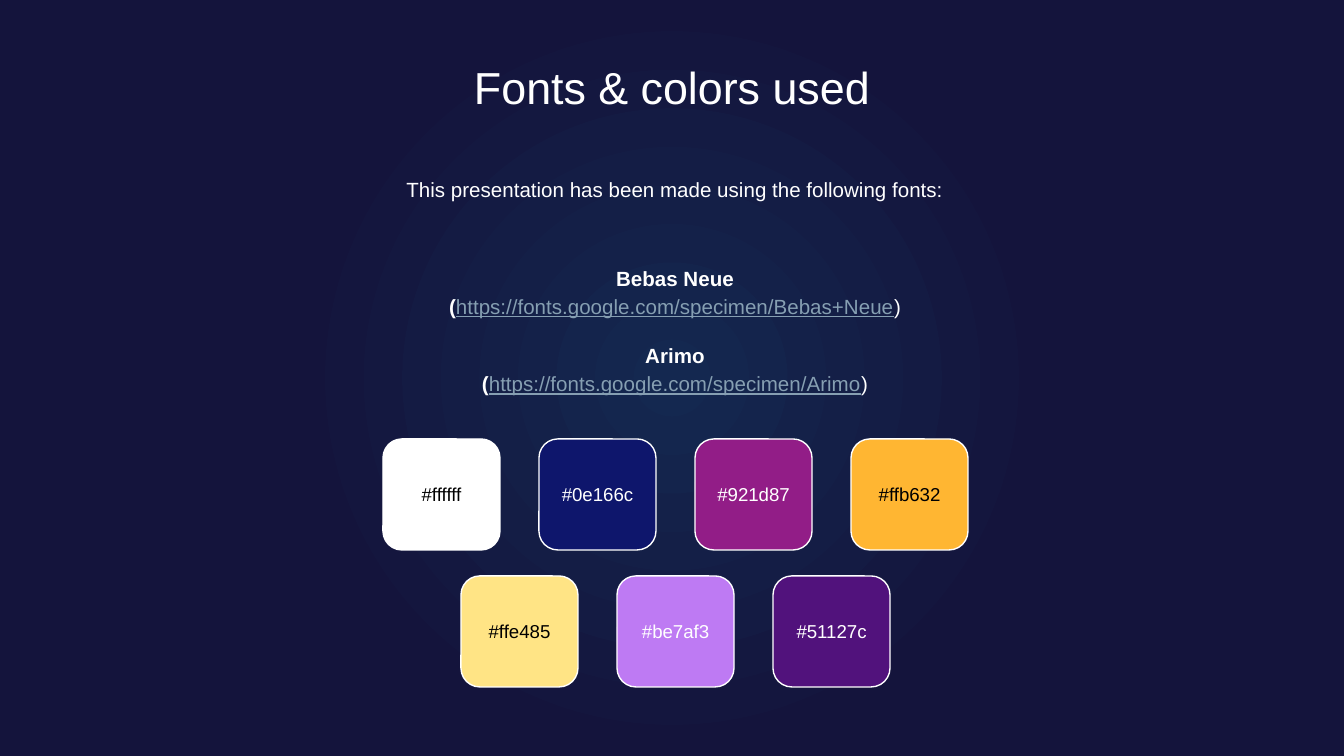
from pptx import Presentation
from pptx.dml.color import RGBColor
from pptx.enum.shapes import MSO_SHAPE
from pptx.enum.text import MSO_ANCHOR, MSO_AUTO_SIZE, PP_ALIGN
from pptx.oxml import parse_xml
from pptx.oxml.ns import nsdecls, qn
from pptx.util import Emu, Pt

TOP, MIDDLE = MSO_ANCHOR.TOP, MSO_ANCHOR.MIDDLE
CENTER = PP_ALIGN.CENTER
NO_AUTOFIT = MSO_AUTO_SIZE.NONE
ROUNDED = MSO_SHAPE.ROUNDED_RECTANGLE
TITLE_ONLY = 5

WHITE = RGBColor(0xFF, 0xFF, 0xFF)
BLACK = RGBColor(0x00, 0x00, 0x00)
LINK = RGBColor(0x86, 0x9F, 0xB2)
GLOW = RGBColor(0x14, 0x28, 0x50)
NIGHT = RGBColor(0x14, 0x14, 0x3C)

FONT = "Arial"
EMU_PER_PX = 914400 / 134.4
INSET = 13
LINE_SPACING = 1.15

FONTS_USED = [
    ("Bebas Neue", "https://fonts.google.com/specimen/Bebas+Neue"),
    ("Arimo", "https://fonts.google.com/specimen/Arimo"),
]

# Each swatch row: top, then (colour code, label colour)
SWATCH_ROWS = [
    (439, [("#ffffff", BLACK), ("#0e166c", WHITE), ("#921d87", WHITE), ("#ffb632", BLACK)]),
    (576, [("#ffe485", BLACK), ("#be7af3", WHITE), ("#51127c", WHITE)]),
]
SWATCH_WIDTH, SWATCH_HEIGHT, SWATCH_PITCH = 117, 111, 156
LABEL_HEIGHT = 65
SWATCH_CENTER = 675


def px(value):
    return Emu(round(value * EMU_PER_PX))


class SlideBuilder:
    def __init__(self, presentation):
        self.slide = presentation.slides.add_slide(presentation.slide_layouts[TITLE_ONLY])

    def background(self, center, edge):
        """Radial glow that reaches the edge colour halfway out."""
        self.slide.background.fill.gradient()
        stops = "".join(
            f'<a:gs pos="{position}"><a:srgbClr val="{color}"/></a:gs>'
            for position, color in [(0, center), (50000, edge), (100000, edge)]
        )
        gradient = parse_xml(
            f'<a:gradFill {nsdecls("a")}><a:gsLst>{stops}</a:gsLst><a:path path="circle">'
            '<a:fillToRect l="50000" t="50000" r="50000" b="50000"/></a:path></a:gradFill>'
        )
        default = self.slide.element.find(".//" + qn("a:gradFill"))
        default.getparent().replace(default, gradient)

    def frame(self, shape, anchor):
        frame = shape.text_frame
        frame.word_wrap = True
        frame.auto_size = NO_AUTOFIT
        frame.vertical_anchor = anchor
        frame.margin_left = frame.margin_right = px(INSET)
        frame.margin_top = frame.margin_bottom = px(INSET)
        return frame

    def style(self, paragraph, size, color=WHITE, bold=False):
        paragraph.alignment = CENTER
        font = paragraph.font
        font.name, font.size, font.bold = FONT, Pt(size), bold
        font.color.rgb = color

    def title(self, text, left, top, width, height):
        shape = self.slide.shapes.title
        shape.left, shape.top, shape.width, shape.height = map(px, (left, top, width, height))
        frame = self.frame(shape, TOP)
        frame.text = text
        self.style(frame.paragraphs[0], 24)

    def text_box(self, left, top, width, height, anchor=TOP):
        shape = self.slide.shapes.add_textbox(*map(px, (left, top, width, height)))
        return self.frame(shape, anchor)

    def text(self, text, left, top, width, height, size, color=WHITE, anchor=TOP, spacing=None):
        paragraph = self.text_box(left, top, width, height, anchor).paragraphs[0]
        paragraph.text = text
        paragraph.line_spacing = spacing
        self.style(paragraph, size, color)

    def font_list(self, fonts, left, top, width, height):
        frame = self.text_box(left, top, width, height, MIDDLE)
        for index, (name, address) in enumerate(fonts):
            heading = frame.add_paragraph() if index else frame.paragraphs[0]
            heading.text = name
            heading.line_spacing = LINE_SPACING
            if index:
                heading.space_before = Pt(11)
            self.style(heading, 11, bold=True)

            source = frame.add_paragraph()
            source.line_spacing = LINE_SPACING
            self.style(source, 11)
            opening, link, closing = (source.add_run() for _ in range(3))
            opening.text, link.text, closing.text = "(", address, ")"
            opening.font.bold = True
            link.font.underline = True
            link.font.color.rgb = LINK

    def swatch(self, code, label_color, left, top):
        shape = self.slide.shapes.add_shape(
            ROUNDED, *map(px, (left, top, SWATCH_WIDTH, SWATCH_HEIGHT)))
        shape.adjustments[0] = 0.17
        shape.shadow.inherit = False
        shape.fill.solid()
        shape.fill.fore_color.rgb = RGBColor.from_string(code[1:].upper())
        shape.line.color.rgb = WHITE
        shape.line.width = Pt(0.75)
        label_top = top + (SWATCH_HEIGHT - LABEL_HEIGHT) // 2
        self.text(code, left, label_top, SWATCH_WIDTH, LABEL_HEIGHT, 10, label_color, MIDDLE)


def main():
    presentation = Presentation()
    presentation.slide_width, presentation.slide_height = px(1344), px(756)
    builder = SlideBuilder(presentation)
    builder.background(GLOW, NIGHT)

    # Heading and font credits
    builder.title("Fonts & colors used", 154, 47, 1036, 71)
    builder.text("This presentation has been made using the following fonts:",
                 157, 160, 1036, 65, 11, spacing=LINE_SPACING)
    builder.font_list(FONTS_USED, 157, 237, 1036, 184)

    # Colour swatches, each row centred
    for top, swatches in SWATCH_ROWS:
        row_width = (len(swatches) - 1) * SWATCH_PITCH + SWATCH_WIDTH
        first_left = SWATCH_CENTER - row_width // 2
        for column, (code, label_color) in enumerate(swatches):
            builder.swatch(code, label_color, first_left + column * SWATCH_PITCH, top)

    presentation.save("out.pptx")


if __name__ == "__main__":
    main()
